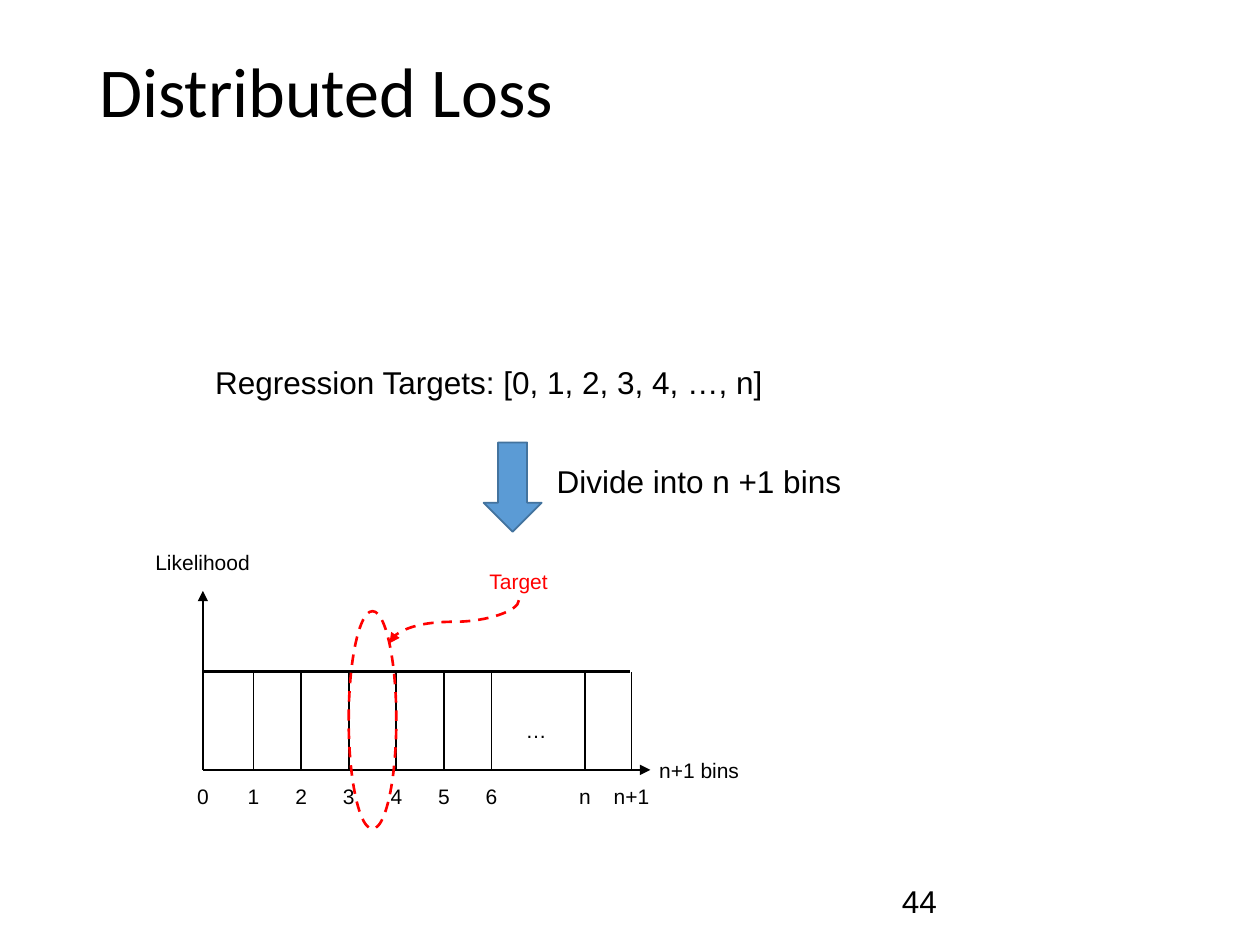
from dataclasses import dataclass

import pptx
import pptx.dml.color
import pptx.enum.dml
import pptx.enum.shapes
import pptx.enum.text
import pptx.oxml.ns
import pptx.util
from lxml import etree

Cm = pptx.util.Cm
Pt = pptx.util.Pt
Rgb = pptx.dml.color.RGBColor.from_string
qn = pptx.oxml.ns.qn
Align = pptx.enum.text.PP_ALIGN
Link = pptx.enum.shapes.MSO_CONNECTOR
Form = pptx.enum.shapes.MSO_SHAPE


@dataclass(frozen=True)
class Theme:
    ink: str = "000000"
    red: str = "FF0000"
    blue: str = "5B9BD5"
    edge: str = "43739E"
    head: str = "Calibri"
    body: str = "Arial"
    title: int = 40
    text: int = 18
    small: int = 12


THEME = Theme()

# Chart frame, in cm
LEFT, TOP, BASE = 4.09, 13.54, 15.52
FIRST, STEP = 5.11, 0.96
LABEL = 15.68


def add_text(slide, text, left, top, width, height, size=THEME.small,
             color=THEME.ink, font=THEME.body, align=Align.CENTER, space=1.0):
    box = slide.shapes.add_textbox(Cm(left), Cm(top), Cm(width), Cm(height))
    frame = box.text_frame
    frame.word_wrap = True
    para = frame.paragraphs[0]
    para.text = text
    para.alignment = align
    para.line_spacing = space
    para.font.size = Pt(size)
    para.font.name = font
    para.font.color.rgb = Rgb(color)
    return box


def set_line(shape, color, width, dash=False):
    shape.line.color.rgb = Rgb(color)
    shape.line.width = Pt(width)
    if dash:
        shape.line.dash_style = pptx.enum.dml.MSO_LINE.DASH


def add_line(slide, x1, y1, x2, y2, width=1.5, color=THEME.ink,
             kind=Link.STRAIGHT, dash=False, arrow=False):
    line = slide.shapes.add_connector(kind, Cm(x1), Cm(y1), Cm(x2), Cm(y2))
    set_line(line, color, width, dash)
    props = line._element.spPr
    if arrow:
        etree.SubElement(props.find(qn("a:ln")), qn("a:tailEnd"),
                         type="triangle")
    etree.SubElement(props, qn("a:effectLst"))
    return line


def add_form(slide, kind, left, top, width, height, edge, weight,
             fill=None, dash=False):
    form = slide.shapes.add_shape(kind, Cm(left), Cm(top),
                                  Cm(width), Cm(height))
    form.shadow.inherit = False
    if fill:
        form.fill.solid()
        form.fill.fore_color.rgb = Rgb(fill)
    else:
        form.fill.background()
    set_line(form, edge, weight, dash)
    return form


def add_bins(slide):
    # Axes with their names
    add_line(slide, LEFT, BASE, LEFT, 11.91, arrow=True)
    add_line(slide, LEFT, BASE, 13.11, BASE, arrow=True)
    add_text(slide, "Likelihood", 1.75, 10.95, 4.67, 0.77)
    add_text(slide, "n+1 bins", 12.29, 15.14, 3.61, 0.77)

    # Bin edges and labels
    ticks = {"0": LEFT}
    ticks.update({str(i + 1): FIRST + i * STEP for i in range(6)})
    ticks.update({"n": 11.79, "n+1": 12.73})
    for name, mid in ticks.items():
        if mid > LEFT:
            add_line(slide, mid, BASE, mid, TOP, width=1)
        wide = 1.55 if len(name) > 1 else 1.19
        add_text(slide, name, mid - wide / 2, LABEL, wide, 0.77)
    add_line(slide, LEFT, TOP, 12.7, TOP)
    add_text(slide, "…", 9.73, 14.35, 2.16, 0.77)


def add_target(slide):
    add_text(slide, "Target", 8.36, 11.33, 4.19, 0.77, color=THEME.red)
    add_form(slide, Form.OVAL, FIRST + 2 * STEP, 12.32, STEP, 4.39,
             THEME.red, 1.5, dash=True)
    # A quarter turn makes the curve leave downward
    curve = add_line(slide, 8.72, 11.23, 9.59, 13.84, color=THEME.red,
                     kind=Link.CURVE, dash=True, arrow=True)
    curve._element.spPr.find(qn("a:xfrm")).set("rot", "5400000")


def main():
    deck = pptx.Presentation()
    deck.slide_width, deck.slide_height = Cm(25.4), Cm(19.05)
    slide = deck.slides.add_slide(deck.slide_layouts[6])

    # Title and page number
    add_text(slide, "Distributed Loss", 1.75, 1.02, 21.9, 3.68,
             size=THEME.title, font=THEME.head, align=Align.LEFT, space=0.9)
    add_text(slide, "44", 17.93, 17.65, 5.72, 1.02,
             size=THEME.text, align=Align.LEFT)

    # Chart
    add_bins(slide)
    add_target(slide)

    # From targets to bins
    add_text(slide, "Regression Targets: [0, 1, 2, 3, 4, …, n]",
             4.09, 6.81, 12.45, 1.27, size=THEME.text,
             align=Align.LEFT, space=1.5)
    add_form(slide, Form.DOWN_ARROW, 9.75, 8.92, 1.17, 1.8,
             THEME.edge, 1, fill=THEME.blue)
    add_text(slide, "Divide into n +1 bins", 10.13, 9.19, 7.92, 1.02,
             size=THEME.text)

    deck.save("out.pptx")


if __name__ == "__main__":
    main()
